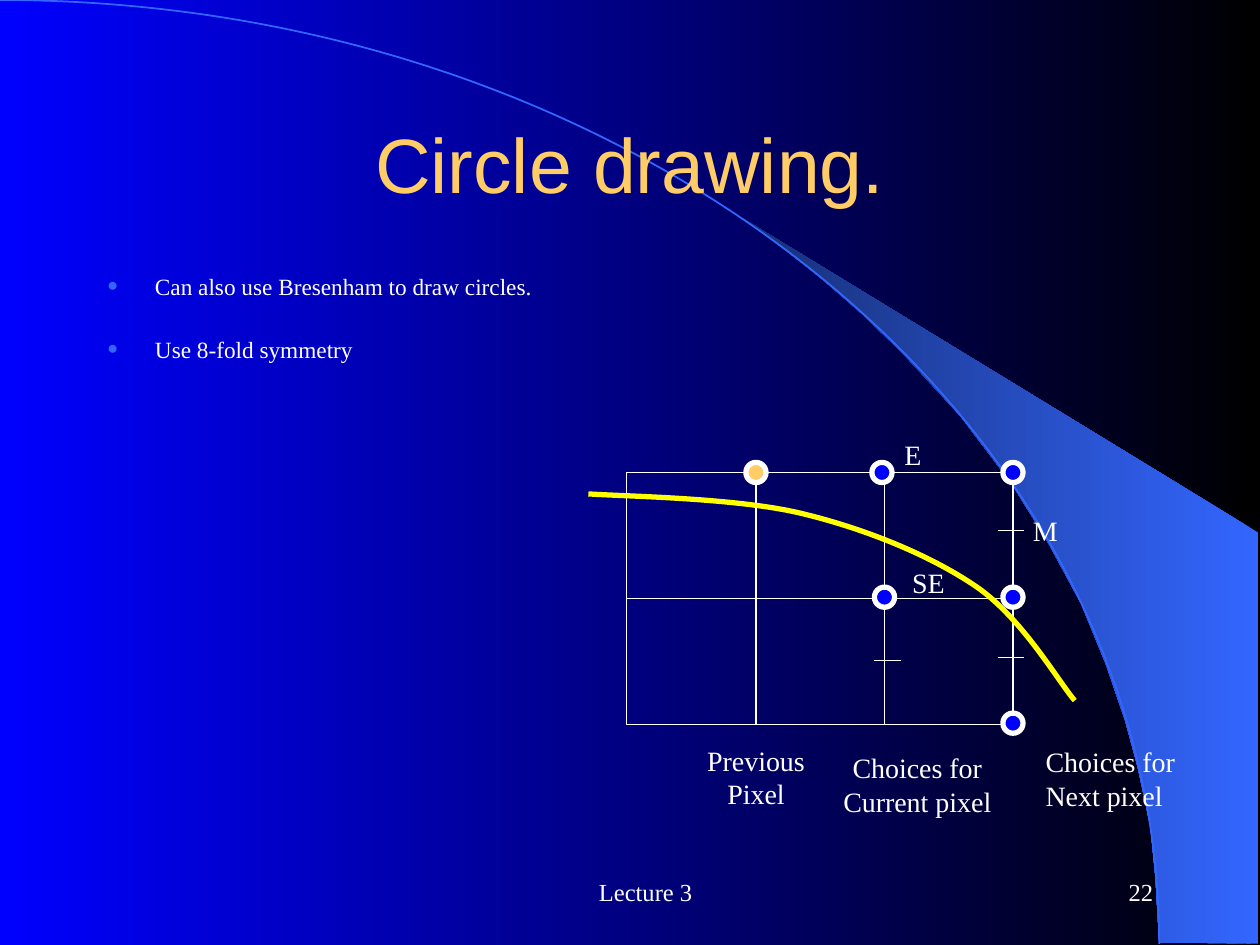
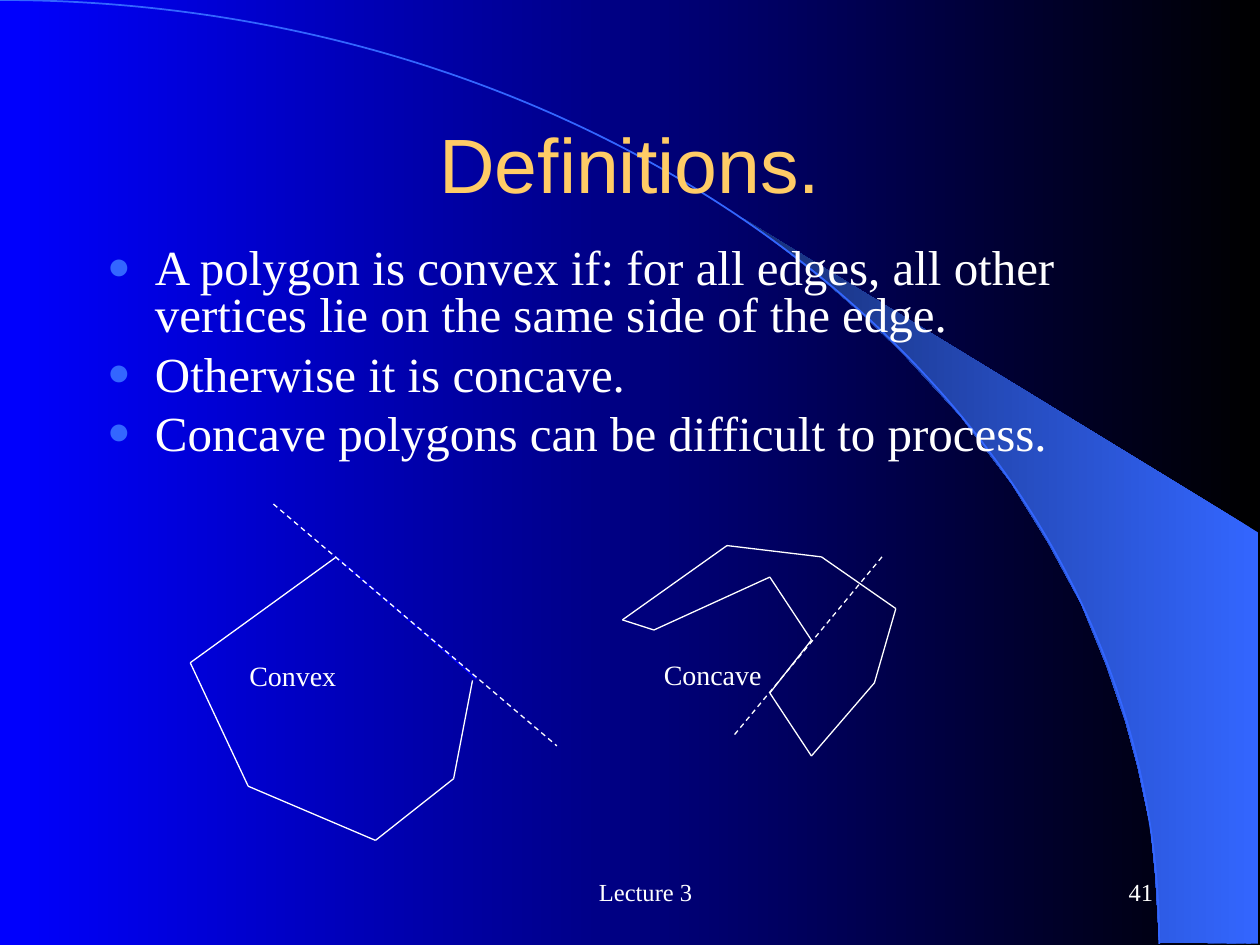
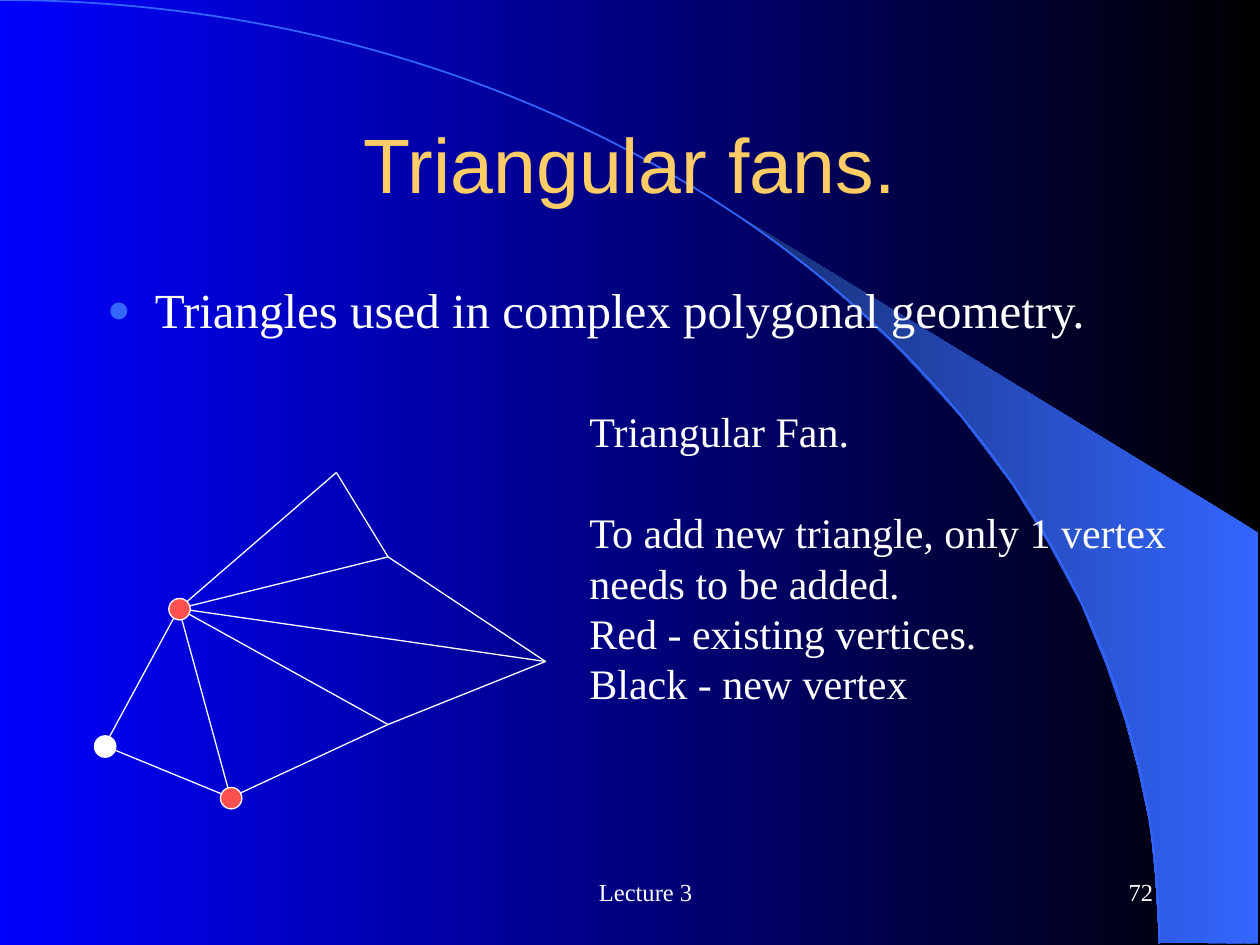
from dataclasses import dataclass
from typing import List, Optional, Sequence, Tuple, Union

from lxml.etree import SubElement
from pptx import Presentation
from pptx.dml.color import RGBColor
from pptx.dml.fill import FillFormat
from pptx.enum.dml import MSO_LINE
from pptx.enum.shapes import MSO_CONNECTOR, MSO_SHAPE
from pptx.enum.text import MSO_ANCHOR, MSO_AUTO_SIZE, PP_ALIGN
from pptx.oxml.ns import qn
from pptx.shapes.autoshape import Shape
from pptx.shapes.shapetree import GroupShapes, SlideShapes
from pptx.slide import Slide
from pptx.util import Emu, Pt

Point = Tuple[int, int]
Shapes = Union[SlideShapes, GroupShapes]

EMU_PER_PX = 9144  # 100 px to the inch

BLACK = RGBColor(0x00, 0x00, 0x00)
BLUE = RGBColor(0x00, 0x00, 0xFF)
SKY = RGBColor(0x33, 0x66, 0xFF)
NAVY = RGBColor(0x17, 0x2F, 0x75)
GOLD = RGBColor(0xFF, 0xCC, 0x66)
WHITE = RGBColor(0xFF, 0xFF, 0xFF)
YELLOW = RGBColor(0xFF, 0xFF, 0x00)
RED = RGBColor(0xFF, 0x50, 0x50)

TITLE_FONT = "Arial"
BODY_FONT = "Times New Roman"
LEFT, CENTER, RIGHT = PP_ALIGN.LEFT, PP_ALIGN.CENTER, PP_ALIGN.RIGHT


def px(length: int) -> Emu:
    return Emu(length * EMU_PER_PX)


@dataclass(frozen=True)
class Area:
    left: int
    top: int
    width: int
    height: int

    def emu(self) -> List[Emu]:
        return [px(side) for side in (self.left, self.top, self.width, self.height)]


@dataclass(frozen=True)
class Label:
    area: Area
    lines: Sequence[str]
    align: PP_ALIGN = LEFT
    size: int = 16
    wrap: bool = False


@dataclass(frozen=True)
class Bullets:
    area: Area
    lines: Sequence[str]
    size: float = 28
    line_spacing: float = 1.0
    gap: int = 7


@dataclass(frozen=True)
class Dot:
    area: Area
    color: RGBColor
    border: float


# Shared drawing functions

def fade(fill: FillFormat, right: RGBColor, left: RGBColor) -> None:
    fill.gradient()
    fill.gradient_angle = 180
    for stop, color, position in zip(fill.gradient_stops, (right, left), (0, 1)):
        stop.color.rgb = color
        stop.position = position


def set_line(shape, color: RGBColor, width: float) -> None:
    shape.line.color.rgb = color
    shape.line.width = Pt(width)


def add_curve(shapes: Shapes, start: Point, pieces: Sequence[Sequence[Point]],
              color: RGBColor, width: float) -> Shape:
    """Draw Bezier pieces, each given as two handles and an end point."""
    builder = shapes.build_freeform(*start, scale=EMU_PER_PX)
    builder.add_line_segments([piece[-1] for piece in pieces], close=False)
    curve = builder.convert_to_shape()
    for segment, piece in zip(list(curve.element.iter(qn("a:lnTo"))), pieces):
        bezier = SubElement(segment.getparent(), qn("a:cubicBezTo"))
        for x, y in piece:
            SubElement(bezier, qn("a:pt"), x=str(x - start[0]), y=str(y - start[1]))
        segment.getparent().replace(segment, bezier)
    curve.shadow.inherit = False
    curve.fill.background()
    set_line(curve, color, width)
    return curve


def add_edge(shapes: Shapes, start: Point, end: Point, color: RGBColor = WHITE,
             dash: Optional[MSO_LINE] = None) -> None:
    edge = shapes.add_connector(MSO_CONNECTOR.STRAIGHT,
                                *(px(value) for value in start + end))
    set_line(edge, color, 0.75)
    if dash is not None:
        edge.line.dash_style = dash
    SubElement(edge.element.spPr, qn("a:effectLst"))


def add_chain(shapes: Shapes, points: Sequence[Point]) -> None:
    for start, end in zip(points, points[1:]):
        add_edge(shapes, start, end)


def add_dot(shapes: Shapes, dot: Dot) -> None:
    circle = shapes.add_shape(MSO_SHAPE.OVAL, *dot.area.emu())
    circle.shadow.inherit = False
    circle.fill.solid()
    circle.fill.fore_color.rgb = dot.color
    set_line(circle, WHITE, dot.border)


def style_font(para, name: str, size: float, color: RGBColor) -> None:
    para.font.name = name
    para.font.size = Pt(size)
    para.font.color.rgb = color


def add_label(shapes: Shapes, label: Label) -> Shape:
    box = shapes.add_textbox(*label.area.emu())
    frame = box.text_frame
    frame.word_wrap = label.wrap
    frame.auto_size = MSO_AUTO_SIZE.SHAPE_TO_FIT_TEXT
    frame.text = "\n".join(label.lines)
    for para in frame.paragraphs:
        para.alignment = label.align
        style_font(para, BODY_FONT, label.size, WHITE)
    return box


def move(shape, area: Area) -> None:
    shape.left, shape.top, shape.width, shape.height = area.emu()


def add_bullet(para) -> None:
    properties = para._p.get_or_add_pPr()
    properties.set("marL", str(px(38)))
    properties.set("indent", str(px(-38)))
    color = SubElement(properties, qn("a:buClr"))
    SubElement(color, qn("a:srgbClr"), val=str(SKY))
    SubElement(properties, qn("a:buSzPct"), val="80000")
    SubElement(properties, qn("a:buFont"), typeface=BODY_FONT)
    SubElement(properties, qn("a:buChar"), char="●")


def add_footer(page: Slide, area: Area, text: str, align: PP_ALIGN) -> None:
    box = add_label(page.shapes, Label(area, [text], align, 14, wrap=True))
    box.text_frame.auto_size = MSO_AUTO_SIZE.NONE
    box.text_frame.vertical_anchor = MSO_ANCHOR.MIDDLE
    box.text_frame.paragraphs[0]._p.get_or_add_pPr().set("marL", str(px(24)))


def add_page(deck, title: str, bullets: Bullets, number: int) -> Slide:
    page = deck.slides.add_slide(deck.slide_layouts[1])
    heading, body = page.placeholders
    move(heading, Area(75, 67, 850, 125))
    heading.text_frame.text = title
    heading.text_frame.vertical_anchor = MSO_ANCHOR.MIDDLE
    heading.text_frame.paragraphs[0].alignment = CENTER
    style_font(heading.text_frame.paragraphs[0], TITLE_FONT, 44, GOLD)

    move(body, bullets.area)
    body.text_frame.text = "\n".join(bullets.lines)
    for index, para in enumerate(body.text_frame.paragraphs):
        add_bullet(para)
        para.line_spacing = bullets.line_spacing
        para.space_before = Pt(bullets.gap if index else 0)
        style_font(para, BODY_FONT, bullets.size, WHITE)
    for holder in (heading, body):
        holder.text_frame.auto_size = MSO_AUTO_SIZE.NONE

    add_footer(page, Area(342, 683, 317, 50), "Lecture 3", CENTER)
    add_footer(page, Area(717, 683, 208, 50), str(number), RIGHT)
    return page


# Master: background, light beam and arc

BEAM = [(920, 748), (999, 749), (999, 423), (589, 173), (624, 199), (653, 222),
        (685, 250), (716, 280), (762, 330), (803, 384), (832, 431), (858, 479),
        (878, 528), (893, 572), (903, 609), (913, 656), (917, 696)]


def decorate_master(deck, page: Slide) -> None:
    master = deck.slide_master
    fade(master.background.fill, BLACK, BLUE)
    builder = page.shapes.build_freeform(*BEAM[0], scale=EMU_PER_PX)
    builder.add_line_segments(BEAM[1:], close=True)
    beam = builder.convert_to_shape()
    beam.shadow.inherit = False
    fade(beam.fill, SKY, NAVY)
    beam.line.fill.background()
    arc = add_curve(page.shapes, (0, 0), [[(508, 0), (920, 335), (920, 749)]], SKY, 1)
    for number, shape in enumerate((beam, arc), start=101):
        shape.element.nvSpPr.cNvPr.set("id", str(number))
        master.shapes.element.append(shape.element)


# Slide 1: pixel grid with a circle arc

GRID_COLUMNS = (497, 600, 702, 804)
GRID_ROWS = (375, 475, 575)


def draw_circle_grid(shapes: Shapes) -> None:
    add_label(shapes, Label(Area(820, 586, 125, 64), ["Choices for", "Next pixel"]))
    for left, right in zip(GRID_COLUMNS, GRID_COLUMNS[1:]):
        for top, bottom in zip(GRID_ROWS, GRID_ROWS[1:]):
            area = Area(left, top, right - left, bottom - top)
            cell = shapes.add_shape(MSO_SHAPE.RECTANGLE, *area.emu())
            cell.shadow.inherit = False
            cell.fill.background()
            set_line(cell, WHITE, 0.75)

    pixels = [(694, 466, BLUE), (692, 367, BLUE), (796, 566, BLUE),
              (796, 466, BLUE), (796, 367, BLUE), (592, 367, GOLD)]
    for left, top, color in pixels:
        add_dot(shapes, Dot(Area(left, top, 16, 16), color, 3))
    for left, top in [(694, 524), (792, 421), (792, 522)]:
        add_edge(shapes, (left, top), (left + 21, top))

    for label in [
        Label(Area(810, 403, 40, 37), ["M"]),
        Label(Area(708, 342, 34, 37), ["E"]),
        Label(Area(714, 444, 47, 37), ["SE"]),
        Label(Area(549, 585, 102, 64), ["Previous", "Pixel"], CENTER),
        Label(Area(657, 591, 142, 64), ["Choices for", "Current pixel"], CENTER),
    ]:
        add_label(shapes, label)
    add_curve(shapes, (467, 392), [
        [(495, 394), (582, 395), (634, 407)],
        [(685, 419), (737, 440), (774, 465)],
        [(811, 490), (840, 541), (853, 556)],
    ], YELLOW, 3)


# Slide 2: convex and concave polygons

def draw_polygons(shapes: Shapes) -> None:
    add_chain(shapes, [(494, 492), (577, 433), (652, 442), (711, 483), (694, 542),
                       (644, 600), (611, 550), (644, 508), (611, 458), (519, 500),
                       (494, 492)])
    add_label(shapes, Label(Area(517, 517, 101, 37), ["Concave"]))
    add_edge(shapes, (267, 442), (378, 539), BLUE)
    add_chain(shapes, [(375, 540), (360, 618), (298, 667), (197, 624), (151, 526),
                       (267, 442)])
    add_label(shapes, Label(Area(188, 518, 91, 37), ["Convex"]))
    add_edge(shapes, (217, 400), (442, 592), dash=MSO_LINE.DASH)
    add_edge(shapes, (700, 442), (583, 583), dash=MSO_LINE.DASH)


# Slide 3: triangle fan

def draw_fan(shapes: Shapes) -> None:
    note = add_label(shapes, Label(Area(458, 317, 493, 250), [
        "Triangular Fan.",
        "To add new triangle, only 1 vertex needs to be added.",
        "Red - existing vertices.",
        "Black - new vertex",
    ], size=24, wrap=True))
    note.text_frame.paragraphs[1].space_before = Pt(29)

    fan = shapes.add_group_shape().shapes
    hub = (142, 483)
    rim = [(267, 375), (308, 442), (433, 525), (308, 575), (183, 633), (83, 592)]
    add_chain(fan, rim)
    for vertex in rim:
        add_edge(fan, hub, vertex)
    for (x, y), color in [(hub, RED), (rim[-2], RED), (rim[-1], WHITE)]:
        add_dot(fan, Dot(Area(x - 8, y - 8, 17, 17), color, 0.75))


def main() -> None:
    deck = Presentation()
    deck.slide_width, deck.slide_height = px(1000), px(750)

    circle_page = add_page(deck, "Circle drawing.", Bullets(
        Area(75, 217, 850, 86),
        ["Can also use Bresenham to draw circles.", "Use 8-fold symmetry"],
        size=13.3, line_spacing=0.7, gap=25), 22)
    decorate_master(deck, circle_page)
    draw_circle_grid(circle_page.shapes)

    polygon_page = add_page(deck, "Definitions.", Bullets(
        Area(75, 192, 850, 191),
        ["A polygon is convex if: for all edges, all other vertices lie on the same "
         "side of the edge.",
         "Otherwise it is concave.",
         "Concave polygons can be difficult to process."],
        line_spacing=0.8), 41)
    draw_polygons(polygon_page.shapes)

    fan_page = add_page(deck, "Triangular fans.", Bullets(
        Area(75, 217, 850, 96),
        ["Triangles used in complex polygonal geometry."]), 72)
    draw_fan(fan_page.shapes)

    deck.save("out.pptx")


if __name__ == "__main__":
    main()
